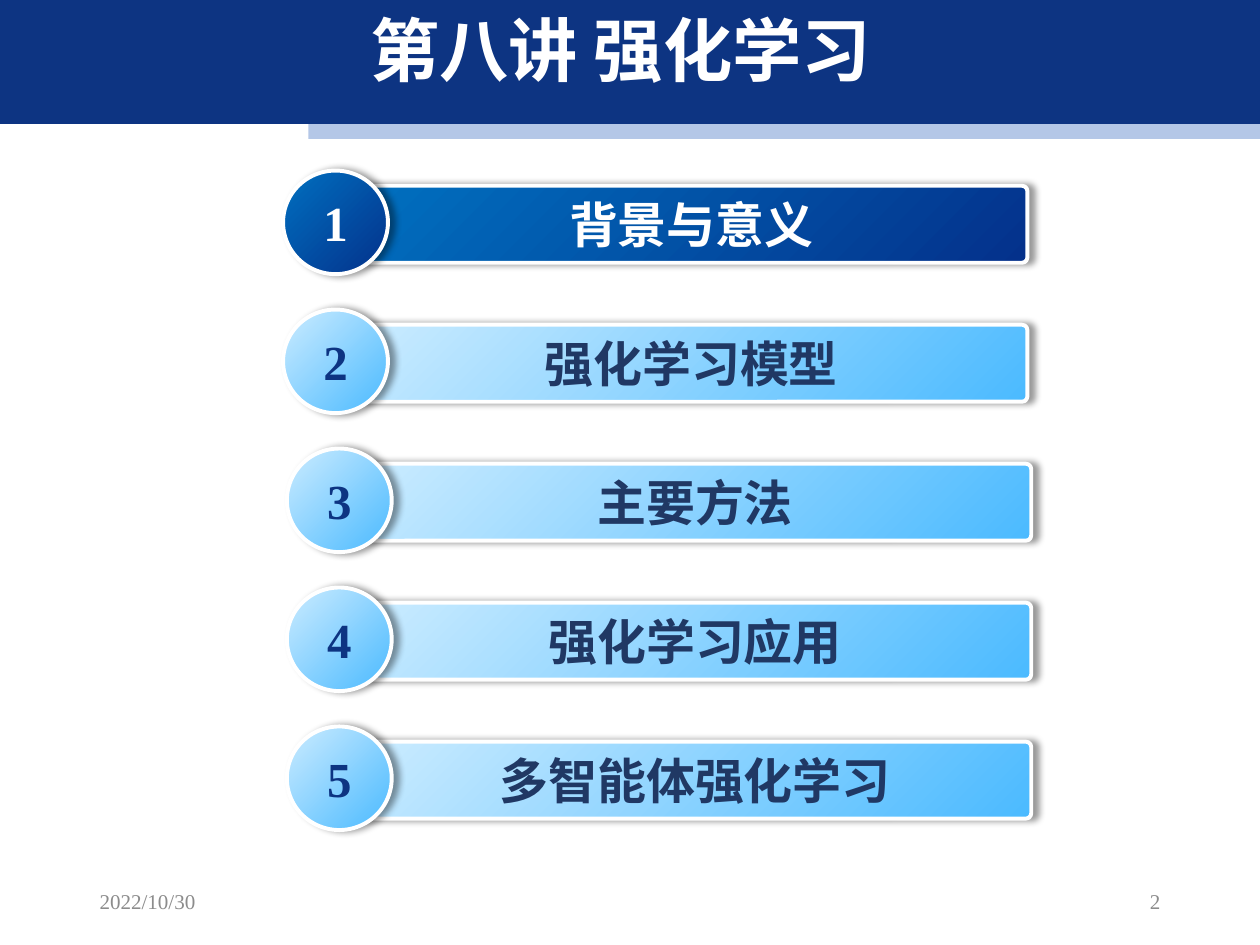
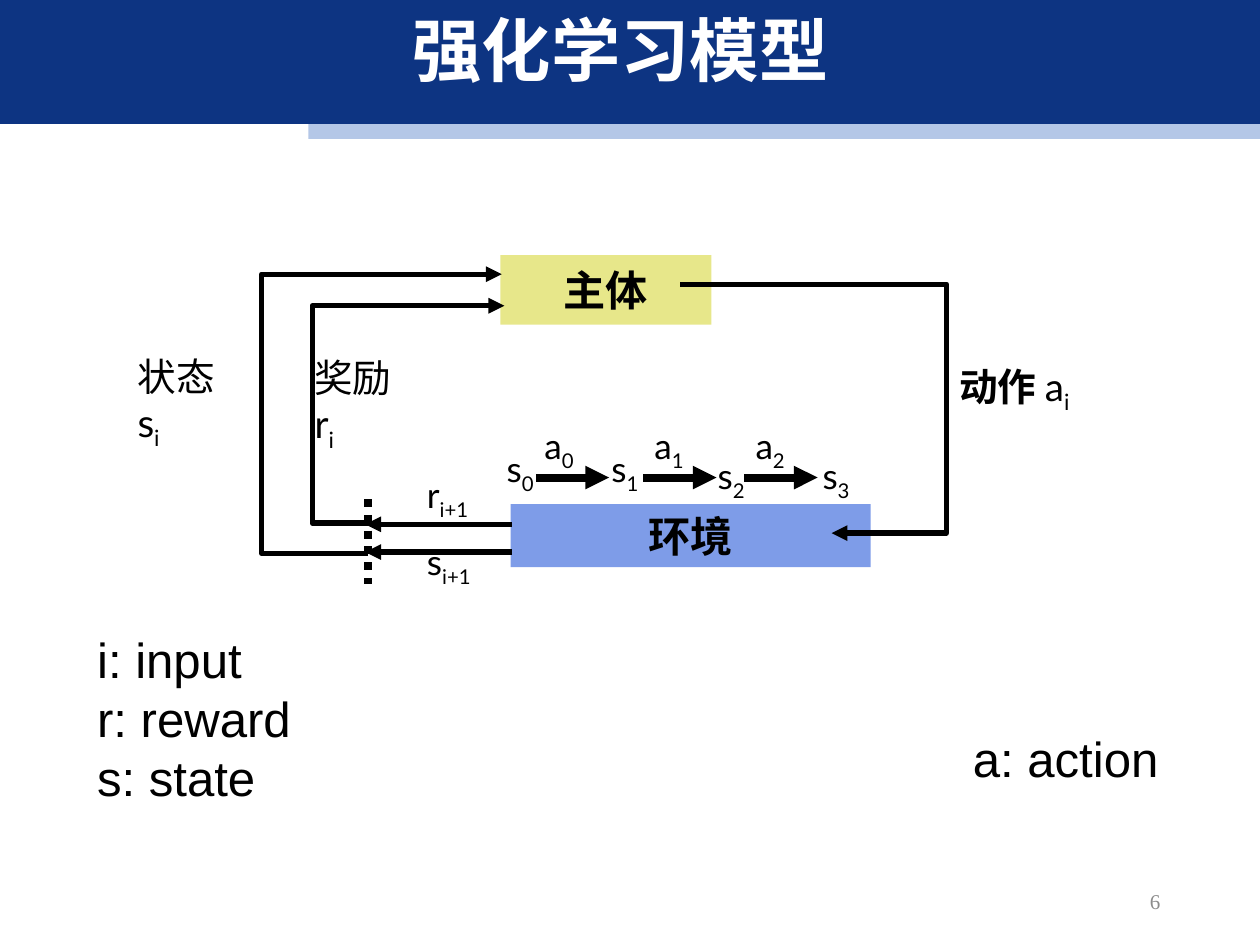
from lxml import etree
from pptx import Presentation
from pptx import util as u
from pptx.dml.color import RGBColor
from pptx.enum import dml, shapes, text
from pptx.oxml.ns import qn

HUES = {
    "band": "0D3482", "strip": "B4C7E7", "white": "FFFFFF", "black": "000000",
    "grey": "8C8C8C", "navy": "203864", "agent": "CCCC00", "world": "7E9CE8",
    "pale": "CCECFF", "sky": "4BBAFF", "blue": "0070C0", "deep": "04318B",
}
HAN, SERIF, SANS, BODY = "Noto Sans CJK SC", "Times New Roman", "Arial", "Lato"
KIND, ALIGN = shapes.MSO_SHAPE, text.PP_ALIGN
MID, TOP = text.MSO_ANCHOR.MIDDLE, text.MSO_ANCHOR.TOP


def hue(name):
    return RGBColor.from_string(HUES[name])


def sub(node, tag, **attrs):
    return etree.SubElement(node, qn(tag), attrs)


class Deck:
    def __init__(self):
        self.prs = Presentation()
        self.prs.slide_width = u.Inches(9.97)
        self.prs.slide_height = u.Inches(7.48)

    def page(self, title, number):
        """Start a slide with the shared bands, title and page number."""
        self.slide = self.prs.slides.add_slide(self.prs.slide_layouts[5])
        self.rect((2.44, 0.98, 7.53, 0.12), "strip")
        self.rect((0, 0, 9.97, 0.98), "band")
        head = self.slide.shapes.title
        self.slide.shapes._spTree.append(head._element)
        head.left, head.top, head.width, head.height = map(
            u.Inches, (1.14, 0.1, 7.54, 0.66))
        frame = head.text_frame
        frame.text = title
        frame.auto_size = text.MSO_AUTO_SIZE.NONE
        frame.vertical_anchor = MID
        line = frame.paragraphs[0]
        line.alignment, line.line_spacing = ALIGN.CENTER, 0.9
        self.style(line.runs[0], 39.5, HAN, "white", True)
        self.foot(7.04, number, ALIGN.RIGHT)

    def style(self, run, size, face, tint="black", bold=False):
        font = run.font
        font.size, font.name, font.bold = u.Pt(size), face, bold
        font.color.rgb = hue(tint)
        sub(run._r.get_or_add_rPr(), "a:ea", typeface=HAN)

    def fill(self, frame, words, size, face, tint="black", bold=False,
             align=ALIGN.LEFT, anchor=TOP, wrap=True):
        """Put plain text, one paragraph a line, into a frame."""
        frame.text = words
        frame.word_wrap, frame.vertical_anchor = wrap, anchor
        for line in frame.paragraphs:
            line.alignment = align
            for run in line.runs:
                self.style(run, size, face, tint, bold)

    def frame(self, box):
        return self.slide.shapes.add_textbox(*map(u.Inches, box)).text_frame

    def foot(self, left, words, align):
        self.fill(self.frame((left, 6.93, 2.24, 0.4)), words, 12, SERIF,
                  "grey", align=align, anchor=MID)

    def note(self, box, words):
        self.fill(self.frame(box), words, 28, SANS, wrap=False)

    def label(self, box, words, size=20, lead="", wrap=True):
        """Text with a subscript after "_" and an optional bold lead."""
        frame = self.frame(box)
        frame.word_wrap = wrap
        line = frame.paragraphs[0]
        base, _, index = words.partition("_")
        for part in filter(None, (lead, base, index)):
            run = line.add_run()
            run.text = part
            self.style(run, size, BODY, bold=part == lead)
        run._r.get_or_add_rPr().set("baseline", "-25000")

    def rect(self, box, tint, kind=KIND.RECTANGLE):
        shape = self.slide.shapes.add_shape(kind, *map(u.Inches, box))
        shape.shadow.inherit = False
        shape.fill.solid()
        shape.fill.fore_color.rgb = hue(tint)
        shape.line.fill.background()
        return shape

    def block(self, box, tint, words, face):
        shape = self.rect(box, tint)
        self.fill(shape.text_frame, words, 24, face, bold=True,
                  align=ALIGN.CENTER, anchor=MID, wrap=False)
        return shape

    def badge(self, kind, box, words, tints, ink):
        """Shape with a gradient, white rim and soft shadow."""
        shape = self.rect(box, tints[0], kind)
        shape.fill.gradient()
        shape.fill.gradient_angle = 315
        for stop, tint in zip(shape.fill.gradient_stops, tints):
            stop.color.rgb = hue(tint)
        shape.line.color.rgb = hue("white")
        shape.line.width = u.Pt(2.25)
        cast = sub(shape._element.spPr.find(qn("a:effectLst")), "a:outerShdw",
                   blurRad=str(u.Pt(4)), dist=str(u.Pt(3)), dir="0",
                   algn="l", rotWithShape="0")
        sub(sub(cast, "a:srgbClr", val=HUES["black"]), "a:alpha", val="40000")
        self.fill(shape.text_frame, words, 27.9, SERIF, ink, True,
                  ALIGN.CENTER, MID)
        return shape

    def ink(self, shape, width, arrow):
        shape.line.color.rgb = hue("black")
        shape.line.width = u.Pt(width)
        if arrow:
            sub(shape.line._get_or_add_ln(), "a:tailEnd", type="triangle")

    def line(self, start, end, width=3, arrow=True):
        wire = self.slide.shapes.add_connector(
            shapes.MSO_CONNECTOR.STRAIGHT, *map(u.Inches, start + end))
        self.ink(wire, width, arrow)
        sub(wire._element.spPr, "a:effectLst")
        return wire

    def route(self, *points):
        """Open path with an arrowhead at its last point."""
        first, *rest = [tuple(map(u.Inches, spot)) for spot in points]
        pen = self.slide.shapes.build_freeform(*first)
        pen.add_line_segments(rest, close=False)
        shape = pen.convert_to_shape()
        shape.shadow.inherit = False
        shape.fill.background()
        self.ink(shape, 3, True)


def agenda(deck):
    deck.page("第八讲 强化学习", "2")
    deck.foot(0.69, "2022/10/30", ALIGN.LEFT)
    topics = ["背景与意义", "强化学习模型", "主要方法", "强化学习应用", "多智能体强化学习"]
    for row, topic in enumerate(topics):
        left = 2.24 if row < 2 else 2.27
        top = 1.35 + 1.1 * row
        tints, ink, mark = ("pale", "sky"), "navy", "band"
        if row == 0:
            tints, ink, mark = ("blue", "deep"), "white", "white"
        bar = deck.badge(KIND.ROUNDED_RECTANGLE,
                         (left + 0.57, top + 0.12, 5.32, 0.61),
                         topic, tints, ink)
        bar.adjustments[0] = 0.07
        deck.badge(KIND.OVAL, (left, top, 0.83, 0.82), str(row + 1),
                   tints, mark)


def model(deck):
    deck.page("强化学习模型", "6")
    agent = deck.block((3.96, 2.02, 1.67, 0.55), "agent", "主体", "DejaVu Sans")
    tone = agent._element.spPr.find(qn("a:solidFill"))[0]
    sub(tone, "a:alpha", val="46000")
    deck.note((0.67, 4.93, 1.85, 1.5), "i: input\nr: reward\ns: state")
    deck.note((7.6, 5.72, 1.67, 0.57), "a: action")
    deck.label((0.99, 2.74, 0.95, 0.85), "状态 s_i", 22)
    deck.label((2.39, 2.75, 0.95, 0.85), "奖励 r_i", 22)
    deck.label((7.49, 2.82, 1.92, 0.47), "a_i", 22, lead="动作 ")
    deck.label((3.28, 4.23, 0.71, 0.43), "s_i+1")
    deck.label((3.28, 3.7, 0.71, 0.43), "r_i+1")
    deck.block((4.04, 3.99, 2.85, 0.5), "world", "环境", BODY)

    deck.route((2.91, 4.38), (2.07, 4.38), (2.07, 2.17), (3.97, 2.17))
    deck.route((2.92, 4.14), (2.47, 4.14), (2.47, 2.42), (3.99, 2.42))
    deck.route((6.58, 2.25), (7.49, 2.25), (7.49, 4.22), (6.58, 4.22))
    deck.line((6.58, 2.25), (5.38, 2.25), arrow=False)
    delay = deck.line((2.91, 3.95), (2.91, 4.62), 4.5, arrow=False)
    delay.line.dash_style = dml.MSO_LINE.ROUND_DOT
    for y in (4.37, 4.15):
        deck.line((4.05, y), (2.89, y))

    for step, left in enumerate((4.21, 5.08, 5.88)):
        deck.label((left, 3.31, 0.45, 0.43), f"a_{step}", wrap=False)
    for left in (4.24, 5.09, 5.89):
        deck.line((left, 3.78), (left + 0.58, 3.78), 4.5)
    states = ((3.91, 3.49), (4.74, 3.49), (5.58, 3.55), (6.41, 3.55))
    for step, (left, top) in enumerate(states):
        deck.label((left, top, 0.55, 0.43), f"s_{step}")


def main():
    deck = Deck()
    agenda(deck)
    model(deck)
    deck.prs.save("out.pptx")


if __name__ == "__main__":
    main()
